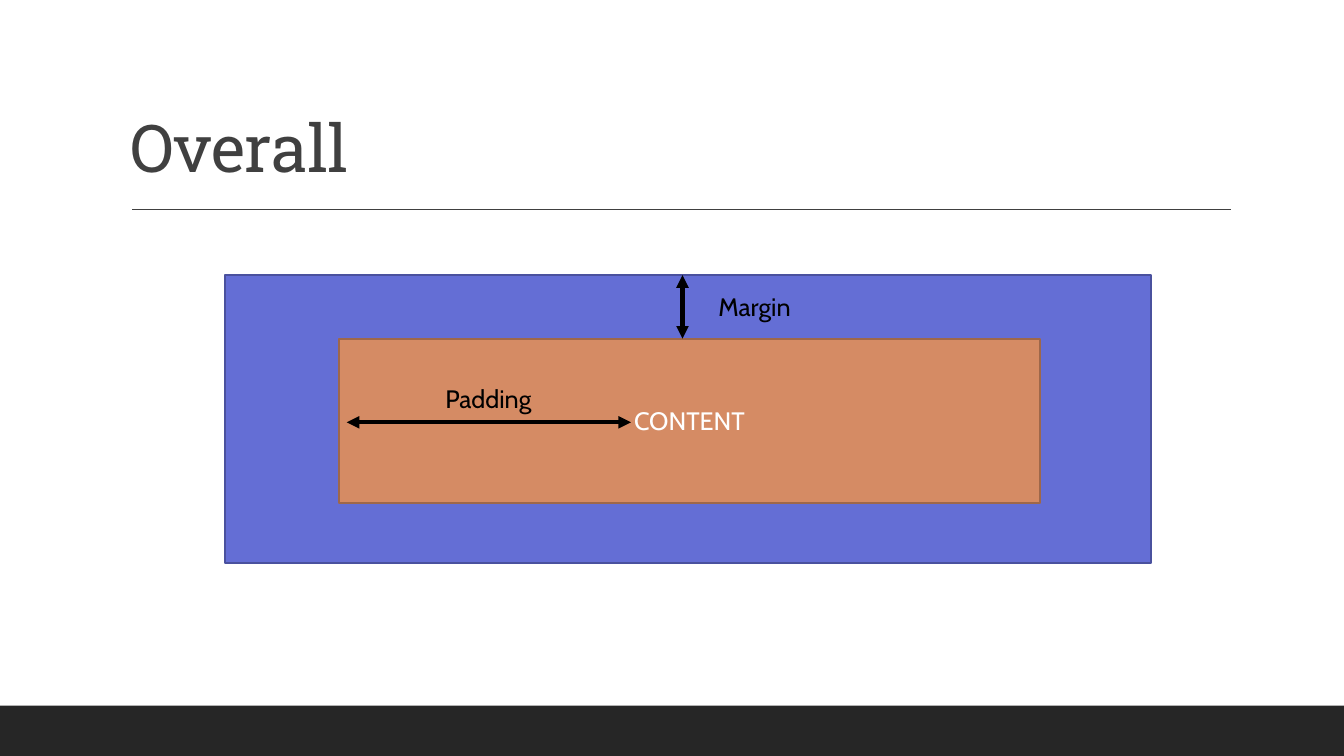
import pptx
import pptx.dml.color
import pptx.enum.shapes
import pptx.enum.text
import pptx.oxml.ns
import pptx.util
from lxml import etree

THEME = {
    "ink": "000000", "paper": "FFFFFF", "heading": "404040", "footer": "262626",
    "margin": "646ED5", "margin edge": "4A519E",
    "padding": "D58B64", "padding edge": "9E674A",
    "heading font": "Roboto Slab", "body font": "Cabin",
    "heading size": 47, "body size": 18,
    "rule width": 1, "edge width": 1.25, "arrow width": 3,
}

deck = pptx.Presentation()
deck.slide_width = pptx.util.Inches(13.33)
deck.slide_height = pptx.util.Inches(7.5)
slide = deck.slides.add_slide(deck.slide_layouts[6])
shapes = slide.shapes


def place(*shares):
    """Turn alternating x, y percentages of the slide into lengths."""
    sides = (deck.slide_width, deck.slide_height) * 2
    return [round(side * share / 100) for side, share in zip(sides, shares)]


def write(holder, words, color, role="body", align="CENTER", anchor="TOP"):
    frame = holder.text_frame
    frame.text = words
    frame.word_wrap = True
    frame.vertical_anchor = pptx.enum.text.MSO_ANCHOR[anchor]
    paragraph = frame.paragraphs[0]
    paragraph.alignment = pptx.enum.text.PP_ALIGN[align]
    font = paragraph.runs[0].font
    font.name = THEME[role + " font"]
    font.size = pptx.util.Pt(THEME[role + " size"])
    font.color.rgb = pptx.dml.color.RGBColor.from_string(THEME[color])
    return paragraph


# Footer band and the nested margin and padding boxes
boxes = {}
for part, edge, area in [
    ("footer", None, (0, 93.33, 100, 6.67)),
    ("margin", "margin edge", (16.73, 36.4, 68.93, 38.13)),
    ("padding", "padding edge", (25.2, 44.8, 52.2, 21.73)),
]:
    box = shapes.add_shape(pptx.enum.shapes.MSO_SHAPE.RECTANGLE, *place(*area))
    box.shadow.inherit = False
    box.fill.solid()
    box.fill.fore_color.rgb = pptx.dml.color.RGBColor.from_string(THEME[part])
    if edge:
        box.line.color.rgb = pptx.dml.color.RGBColor.from_string(THEME[edge])
        box.line.width = pptx.util.Pt(THEME["edge width"])
    else:
        box.line.fill.background()
    boxes[part] = box
write(boxes["padding"], "CONTENT", "paper", anchor="MIDDLE")

# Title
title = shapes.add_textbox(*place(9, 4.13, 82.5, 21.2))
heading = write(title, "Overall", "heading", "heading", "LEFT", "BOTTOM")
heading.line_spacing = 0.9
heading.runs[0].font._element.set("spc", "-50")

# Title rule, padding arrow and margin arrow
for ends, color, width, arrow in [
    ((9.83, 27.73, 91.58, 27.73), "heading", "rule width", False),
    ((25.8, 55.87, 46.95, 55.87), "ink", "arrow width", True),
    ((50.78, 36.4, 50.78, 44.8), "ink", "arrow width", True),
]:
    line = shapes.add_connector(
        pptx.enum.shapes.MSO_CONNECTOR.STRAIGHT, *place(*ends))
    line.line.color.rgb = pptx.dml.color.RGBColor.from_string(THEME[color])
    line.line.width = pptx.util.Pt(THEME[width])
    if arrow:
        for end in ("a:headEnd", "a:tailEnd"):
            etree.SubElement(line.line._get_or_add_ln(),
                             pptx.oxml.ns.qn(end), type="triangle")
    etree.SubElement(line._element.spPr, pptx.oxml.ns.qn("a:effectLst"))

# Arrow labels
for words, left, top in [("Padding", 29.4, 50), ("Margin", 49.2, 37.87)]:
    label = shapes.add_textbox(*place(left, top, 13.88, 5.33))
    write(label, words, "ink")

deck.save("out.pptx")
